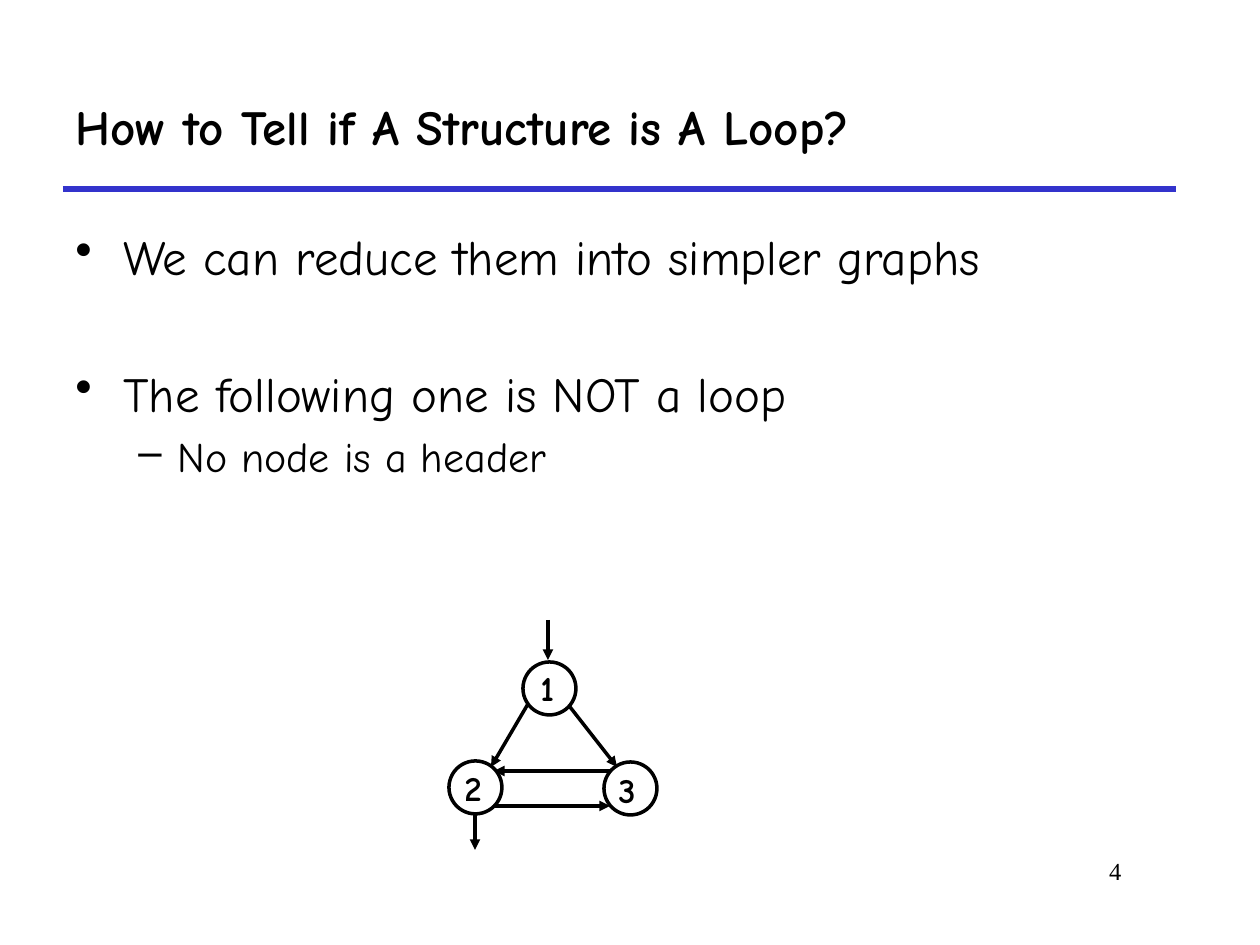
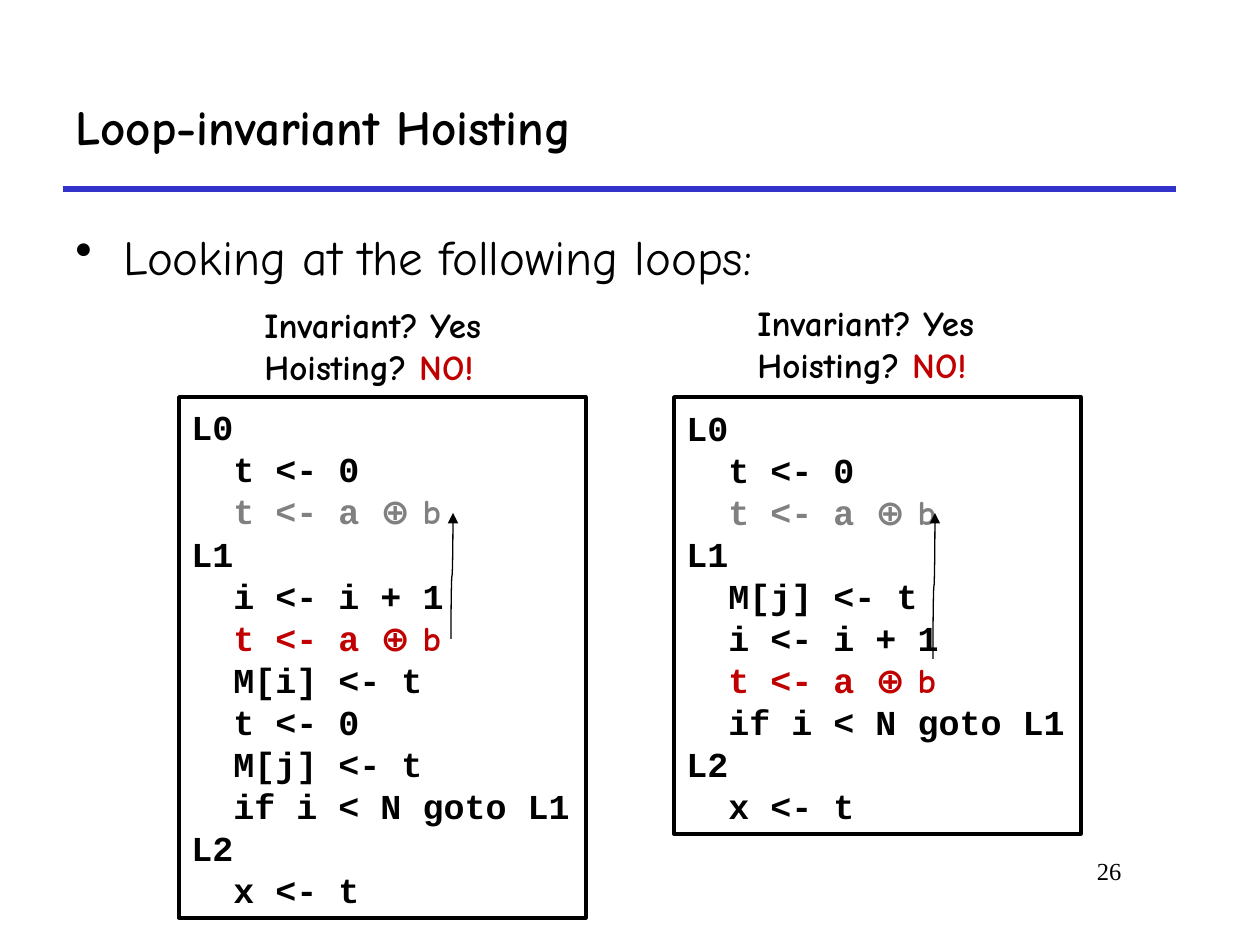
from lxml import etree
from pptx import Presentation
from pptx.dml.color import RGBColor
from pptx.enum.shapes import MSO_CONNECTOR, MSO_SHAPE
from pptx.enum.text import MSO_ANCHOR, PP_ALIGN
from pptx.oxml.ns import qn
from pptx.util import Inches, Pt

PX = 7257  # EMU in one px, 126 px to the inch
STRAIGHT, CURVE = MSO_CONNECTOR.STRAIGHT, MSO_CONNECTOR.CURVE
OVAL, RECT = MSO_SHAPE.OVAL, MSO_SHAPE.RECTANGLE
MIDDLE, TOP = MSO_ANCHOR.MIDDLE, MSO_ANCHOR.TOP
LEFT, RIGHT = PP_ALIGN.LEFT, PP_ALIGN.RIGHT
COMIC, MONO, SERIF = "Comic Neue", "Courier New", "Times New Roman"
BLACK, BLUE, RED, GRAY = "000000", "3333CC", "C00000", "808080"
color = RGBColor.from_string


def write(frame, lines, face, size, bold=False, align=LEFT):
    """Fill a frame; a line is a list of (text, colour, face) runs."""
    for i, runs in enumerate(lines):
        para = frame.paragraphs[0] if i == 0 else frame.add_paragraph()
        para.alignment = align
        para.font.size, para.font.bold = Pt(size), bold
        same = len(runs) == 1
        if same:
            para.font.name = face
            para.font.color.rgb = color(runs[0][1])
        for words, hue, name in runs:
            run = para.add_run()
            run.text = words
            if not same:
                run.font.name = name
                run.font.color.rgb = color(hue)


def link(slide, ends, hue, width, kind=STRAIGHT, arrow=True):
    """Draw a line from the first point to the second."""
    line = slide.shapes.add_connector(kind, *[v * PX for v in ends])
    line.line.color.rgb = color(hue)
    line.line.width = Pt(width)
    props = line._element.spPr
    if arrow:
        etree.SubElement(props.find(qn("a:ln")), qn("a:tailEnd"), type="triangle")
    etree.SubElement(props, qn("a:effectLst"))
    return line


deck = Presentation()
deck.slide_width, deck.slide_height = Inches(10), Inches(7.5)

# Bullets: text, level, space before in points
pages = [
    ("How to Tell if A Structure is A Loop?", "4", [
        ("We can reduce them into simpler graphs", 0, 5.6),
        ("The following one is NOT a loop", 0, 45),
        ("No node is a header", 1, 4.8)]),
    ("Loop-invariant Hoisting", "26", [
        ("Looking at the following loops:", 0, 5.6)]),
]
# Size, left margin, hanging indent and mark of each level
levels = [(28, 48, 48, "•"), (24, 102, 39, "–")]

# Shared frame: rule, title, bullets, page number
slides = []
for head, num, items in pages:
    slide = deck.slides.add_slide(deck.slide_layouts[5])
    slides.append(slide)
    link(slide, (63, 189, 1176, 189), BLUE, 3, arrow=False)

    title = slide.shapes.title
    title.left, title.top, title.width, title.height = [
        v * PX for v in (63, 63, 1113, 126)]
    title.text_frame.vertical_anchor = MIDDLE
    write(title.text_frame, [[(head, BLACK, COMIC)]], COMIC, 28, True)

    body = slide.shapes.add_textbox(63 * PX, 220 * PX, 1144 * PX, 609 * PX).text_frame
    body.word_wrap = True
    write(body, [[(words, BLACK, COMIC)] for words, _, _ in items], COMIC, 28)
    for para, (_, level, space) in zip(body.paragraphs, items):
        size, left, hang, mark = levels[level]
        para.level = level
        para.font.size = Pt(size)
        para.space_before = Pt(space)
        props = para._p.get_or_add_pPr()
        props.set("marL", str(left * PX))
        props.set("indent", str(-hang * PX))
        bullet = etree.Element(qn("a:buChar"), char=mark)
        props.find(qn("a:defRPr")).addprevious(bullet)

    page = slide.shapes.add_textbox(955 * PX, 850 * PX, 179 * PX, 63 * PX).text_frame
    page.word_wrap = True
    write(page, [[(num, BLACK, SERIF)]], SERIF, 14, align=RIGHT)

graph, hoist = slides

# Graph nodes: circle corner, label corner
nodes = [("1", 523, 662, 528, 660), ("2", 449, 761, 452, 760),
         ("3", 604, 762, 606, 762)]
for name, x, y, left, top in nodes:
    node = graph.shapes.add_shape(OVAL, x * PX, y * PX, 53 * PX, 53 * PX)
    node.shadow.inherit = False
    node.fill.background()
    node.line.color.rgb = color(BLACK)
    node.line.width = Pt(2)
    label = graph.shapes.add_textbox(left * PX, top * PX, 46 * PX, 55 * PX)
    label.text_frame.word_wrap = False
    write(label.text_frame, [[(name, BLACK, COMIC)]], COMIC, 20, True)

# Graph edges
edges = [(548, 620, 548, 660), (528, 704, 491, 767), (570, 707, 617, 767),
         (475, 815, 475, 850), (494, 806, 610, 806), (610, 771, 494, 771)]
for ends in edges:
    link(graph, ends, BLACK, 2)

# Code panels: a leading tab indents, a marked line takes its colour
new = ("t <- a ", GRAY)
old = ("t <- a ", RED)
loops = [
    (179, 521, (252, 297), (515, 577, 389, 575),
     ["L0", "\tt <- 0", new, "L1", "\ti <- i + 1", old, "\tM[i] <- t",
      "\tt <- 0", "\tM[j] <- t", "\tif i < N goto L1", "L2", "\tx <- t"]),
    (674, 437, (745, 295), (1007, 587, 861, 585),
     ["L0", "\tt <- 0", new, "L1", "\tM[j] <- t", "\ti <- i + 1", old,
      "\tif i < N goto L1", "L2", "\tx <- t"]),
]
for x, high, (left, top), ends, code in loops:
    panel = hoist.shapes.add_shape(RECT, x * PX, 397 * PX, 407 * PX, high * PX)
    panel.shadow.inherit = False
    panel.fill.background()
    panel.line.color.rgb = color(BLACK)
    panel.line.width = Pt(2)
    frame = panel.text_frame
    frame.word_wrap = True
    frame.vertical_anchor = TOP
    frame.margin_top = 9 * PX
    frame.margin_bottom = 0
    lines = []
    for row in code:
        if isinstance(row, tuple):
            words, hue = row
            lines.append([(words, hue, MONO), ("⊕ b", hue, COMIC)])
        else:
            lines.append([(row.strip(), BLACK, MONO)])
    write(frame, lines, MONO, 20, True)
    for para, row in zip(frame.paragraphs, code):
        para.line_spacing = Pt(24)
        if isinstance(row, tuple) or row.startswith("\t"):
            props = para._p.get_or_add_pPr()
            props.set("marL", str(42 * PX))
            props.set("indent", "0")

    # Verdict above the panel
    note = hoist.shapes.add_textbox(left * PX, top * PX, 267 * PX, 97 * PX).text_frame
    note.word_wrap = False
    write(note, [[("Invariant? Yes", BLACK, COMIC)],
                 [("Hoisting? ", BLACK, COMIC), ("NO!", RED, COMIC)]],
          COMIC, 20, True)

    # Upward arrow: a flat curve turned by 90 degrees
    move = link(hoist, ends, BLACK, 0.75, CURVE)
    move._element.spPr.find(qn("a:xfrm")).set("rot", "5400000")

deck.save("out.pptx")
